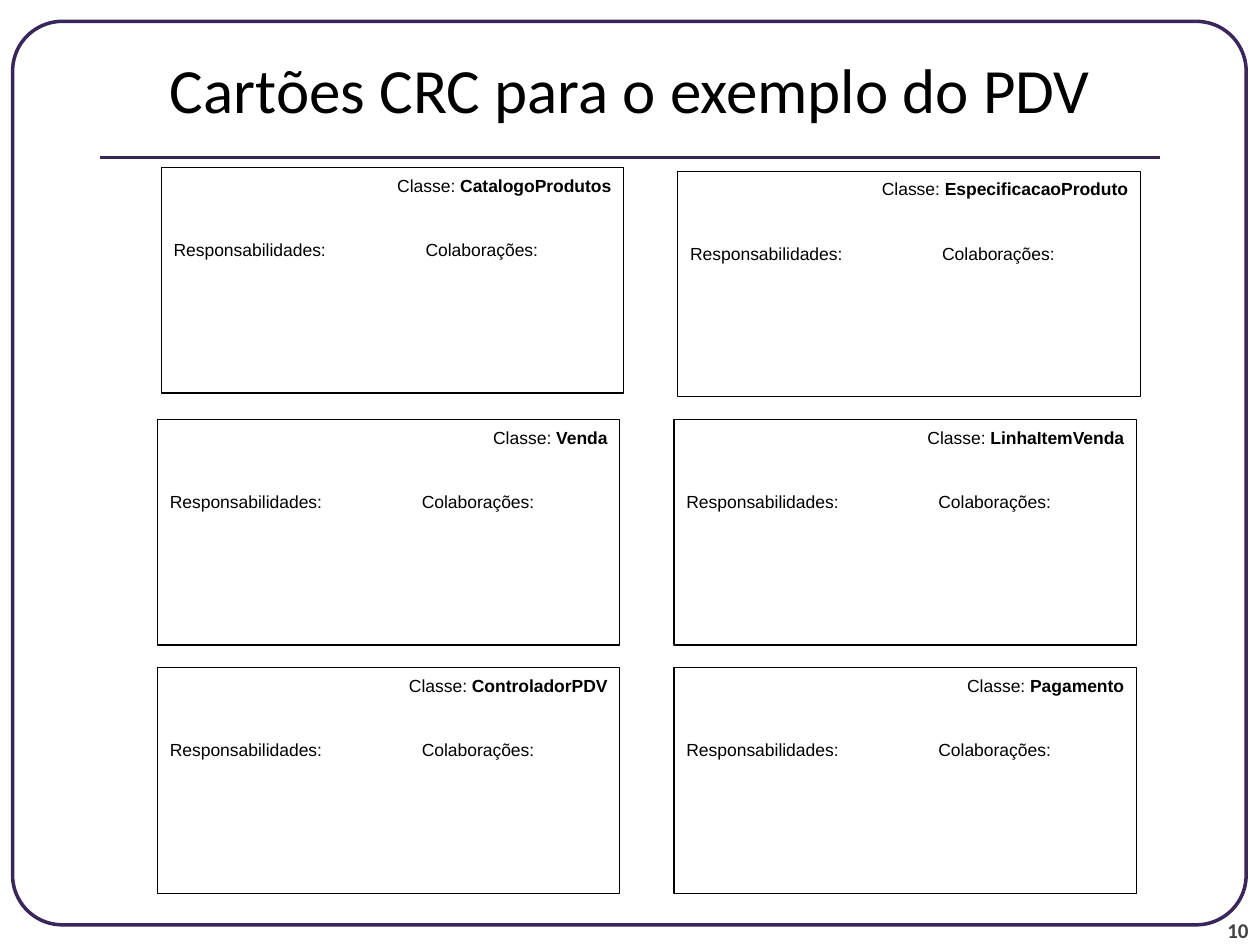
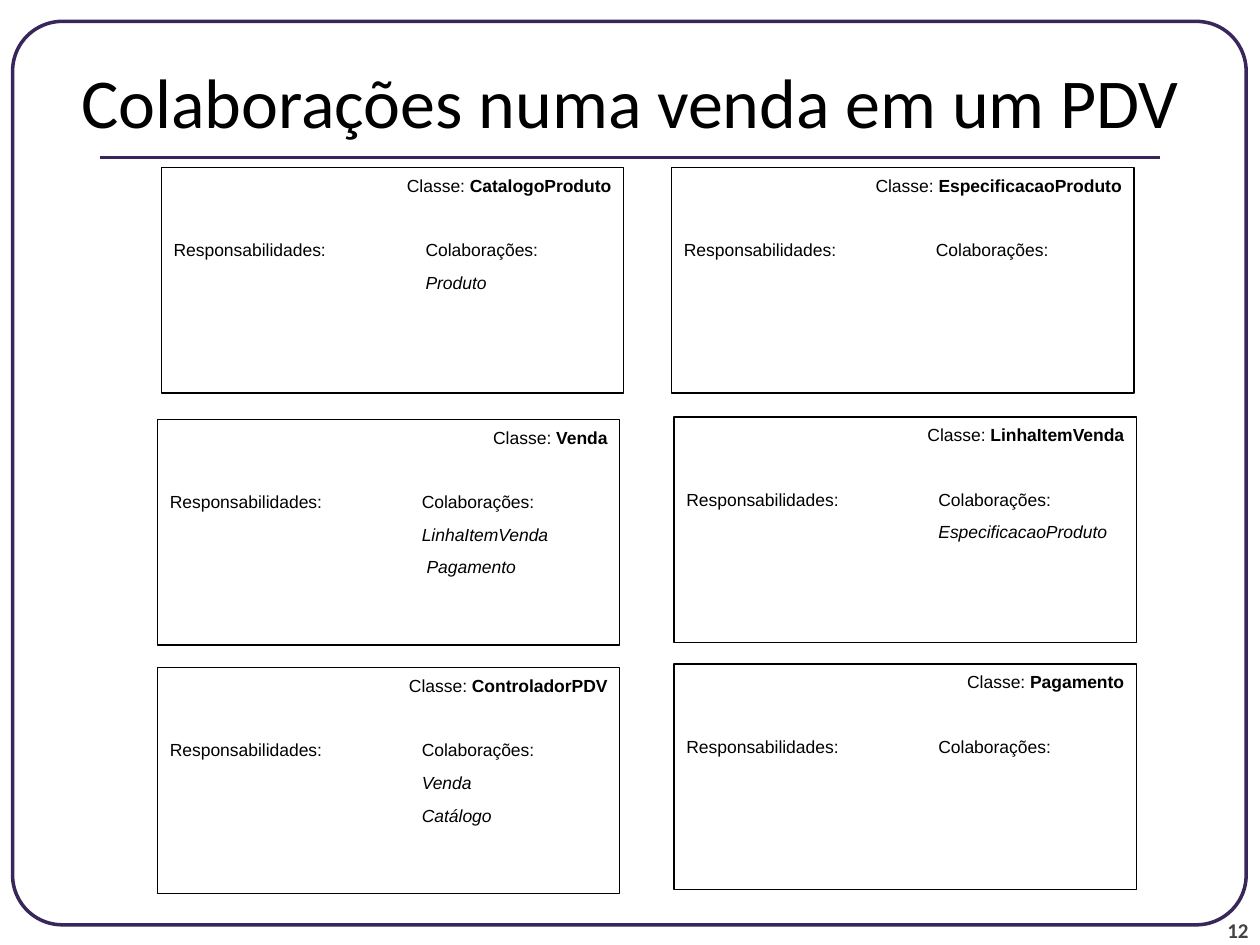
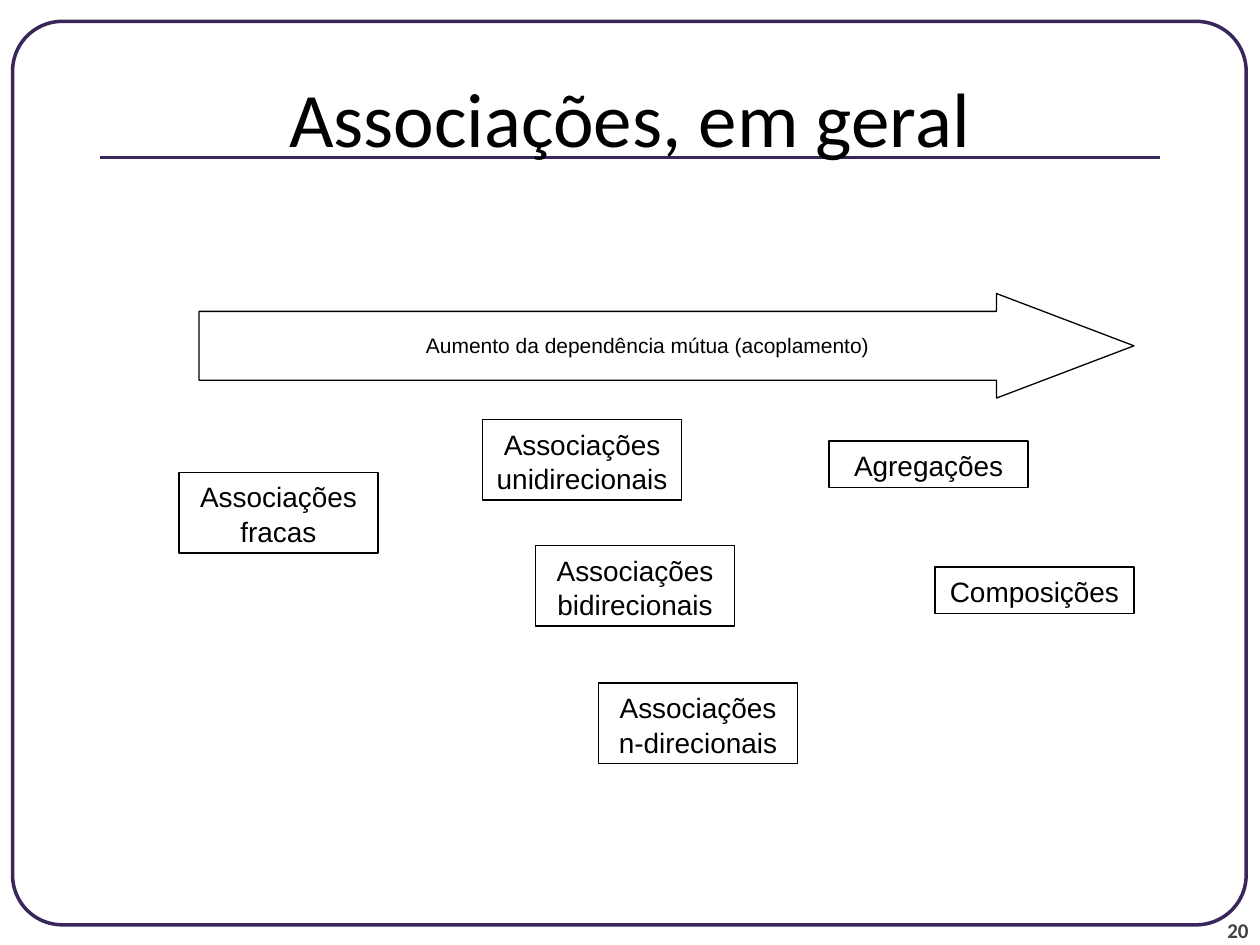
"""Build three slides on CRC cards and kinds of association."""
import pptx
import pptx.dml.color
import pptx.enum.shapes
import pptx.enum.text
import pptx.oxml.ns
import pptx.util
from dataclasses import dataclass
from lxml import etree

Inches, Pt = pptx.util.Inches, pptx.util.Pt
RGB = pptx.dml.color.RGBColor.from_string
SHAPE = pptx.enum.shapes.MSO_SHAPE
ALIGN = pptx.enum.text.PP_ALIGN
ANCHOR = pptx.enum.text.MSO_ANCHOR
qn = pptx.oxml.ns.qn


@dataclass(frozen=True)
class Theme:
    ink: str = "000000"
    paper: str = "FFFFFF"
    accent: str = "39275B"
    number: str = "424242"
    head_font: str = "Calibri"
    body_font: str = "Arial"
    card_pt: float = 10
    small_pt: float = 12
    label_pt: float = 16
    leading: float = 1.04
    card_gap: float = 6.2
    heading_gap: float = 24.4


T = Theme()
CARD_W, CARD_H, COLUMN = 3.67, 1.79, 2
LABEL_W, LABEL_H = 1.58, (0.37, 0.64)

CARD_SLIDES = [
    dict(title="Cartões CRC para o exemplo do PDV", number=10, top=0.08, size=36, cards=[
        (1.28, 1.33, "CatalogoProdutos", []),
        (5.38, 1.36, "EspecificacaoProduto", []),
        (1.25, 3.33, "Venda", []),
        (5.35, 3.33, "LinhaItemVenda", []),
        (1.25, 5.3, "ControladorPDV", []),
        (5.35, 5.3, "Pagamento", []),
    ]),
    dict(title="Colaborações numa venda em um PDV", number=12, top=0.17, size=40, cards=[
        (1.28, 1.33, "CatalogoProduto", ["Produto"]),
        (5.33, 1.33, "EspecificacaoProduto", []),
        (1.25, 3.33, "Venda", ["LinhaItemVenda", " Pagamento"]),
        (5.35, 3.31, "LinhaItemVenda", ["EspecificacaoProduto"]),
        (1.25, 5.3, "ControladorPDV", ["Venda", "Catálogo"]),
        (5.35, 5.27, "Pagamento", []),
    ]),
]
ASSOCIATIONS = dict(title="Associações, em geral", number=20, top=0.3, size=44)
ARROW_TEXT = "Aumento da dependência mútua (acoplamento)"
LABELS = [
    (3.83, 3.33, "Associações unidirecionais"),
    (1.42, 3.75, "Associações fracas"),
    (4.25, 4.33, "Associações bidirecionais"),
    (4.75, 5.42, "Associações n-direcionais"),
    (6.58, 3.5, "Agregações"),
    (7.42, 4.5, "Composições"),
]


def box(*lengths):
    return [Inches(v) for v in lengths]


def style(r, size, font=T.body_font, color=T.ink, bold=False, italic=False):
    r.font.size, r.font.name = Pt(size), font
    r.font.bold, r.font.italic = bold, italic
    r.font.color.rgb = RGB(color)


def write(p, text, size, align=ALIGN.LEFT, before=0, **look):
    p.text = text
    p.alignment, p.space_before, p.line_spacing = align, Pt(before), T.leading
    for r in p.runs:
        style(r, size, **look)


def outlined(s, kind, at, color=T.ink, width=0.75):
    sp = s.shapes.add_shape(kind, *box(*at))
    sp.shadow.inherit = False
    sp.fill.background()
    sp.line.color.rgb, sp.line.width = RGB(color), Pt(width)
    sp.text_frame.vertical_anchor = ANCHOR.TOP
    return sp


def text_box(s, at):
    tf = s.shapes.add_textbox(*box(*at)).text_frame
    tf.word_wrap = True
    return tf


def add_slide(prs, title, number, top, size, **_):
    s = prs.slides.add_slide(prs.slide_layouts[5])
    frame = outlined(s, SHAPE.ROUNDED_RECTANGLE, (0.1, 0.17, 9.79, 7.17), T.accent, 2)
    frame.adjustments[0] = 0.055
    frame.fill.solid()
    frame.fill.fore_color.rgb = RGB(T.paper)

    tf = text_box(s, (9.08, 7.08, 0.83, 0.4))
    tf.margin_left = tf.margin_right = tf.margin_top = tf.margin_bottom = 0
    tf.vertical_anchor = ANCHOR.BOTTOM
    write(tf.paragraphs[0], str(number), T.small_pt, ALIGN.RIGHT,
          font=T.head_font, color=T.number, bold=True)

    rule = s.shapes.add_connector(pptx.enum.shapes.MSO_CONNECTOR.STRAIGHT,
                                  *box(0.79, 1.25, 9.21, 1.25))
    rule.line.color.rgb, rule.line.width = RGB(T.accent), Pt(2.25)
    etree.SubElement(rule.element.spPr, qn("a:effectLst"))

    sp = s.shapes.title
    sp.left, sp.top, sp.width, sp.height = box(0.5, top, 9, 1.25)
    sp.text_frame.auto_size = pptx.enum.text.MSO_AUTO_SIZE.NONE
    sp.text_frame.vertical_anchor = ANCHOR.MIDDLE
    p = sp.text_frame.paragraphs[0]
    p.text, p.alignment = title, ALIGN.CENTER
    style(p.runs[0], size, T.head_font)
    sp.element.getparent().append(sp.element)
    return s


def add_card(s, left, top, name, partners):
    tf = outlined(s, SHAPE.RECTANGLE, (left, top, CARD_W, CARD_H)).text_frame
    p = tf.paragraphs[0]
    write(p, "Classe: ", T.card_pt, ALIGN.RIGHT)
    r = p.add_run()
    r.text = name
    style(r, T.card_pt, bold=True)

    p = tf.add_paragraph()
    write(p, "Responsabilidades:\tColaborações:", T.card_pt, before=T.heading_gap)
    tabs = etree.SubElement(p._p.get_or_add_pPr(), qn("a:tabLst"))
    etree.SubElement(tabs, qn("a:tab"), pos=str(Inches(COLUMN)), algn="l")

    for partner in partners:
        p = tf.add_paragraph()
        write(p, partner, T.card_pt, before=T.card_gap, italic=True)
        p._p.get_or_add_pPr().set("marL", str(Inches(COLUMN)))


def add_associations(s):
    for left, top, text in LABELS:
        height = LABEL_H[" " in text]
        sp = outlined(s, SHAPE.RECTANGLE, (left, top, LABEL_W, height))
        write(sp.text_frame.paragraphs[0], text, T.label_pt, ALIGN.CENTER)
    arrow = outlined(s, SHAPE.RIGHT_ARROW, (1.58, 2.33, 7.42, 0.83))
    arrow.adjustments[0], arrow.adjustments[1] = 0.658, 1.315
    tf = text_box(s, (2.33, 2.58, 4.67, 0.3))
    write(tf.paragraphs[0], ARROW_TEXT, T.small_pt, ALIGN.RIGHT)


def main():
    prs = pptx.Presentation()
    prs.slide_width, prs.slide_height = box(10, 7.5)
    for content in CARD_SLIDES:
        s = add_slide(prs, **content)
        for card in content["cards"]:
            add_card(s, *card)
    add_associations(add_slide(prs, **ASSOCIATIONS))
    prs.save("out.pptx")


if __name__ == "__main__":
    main()
